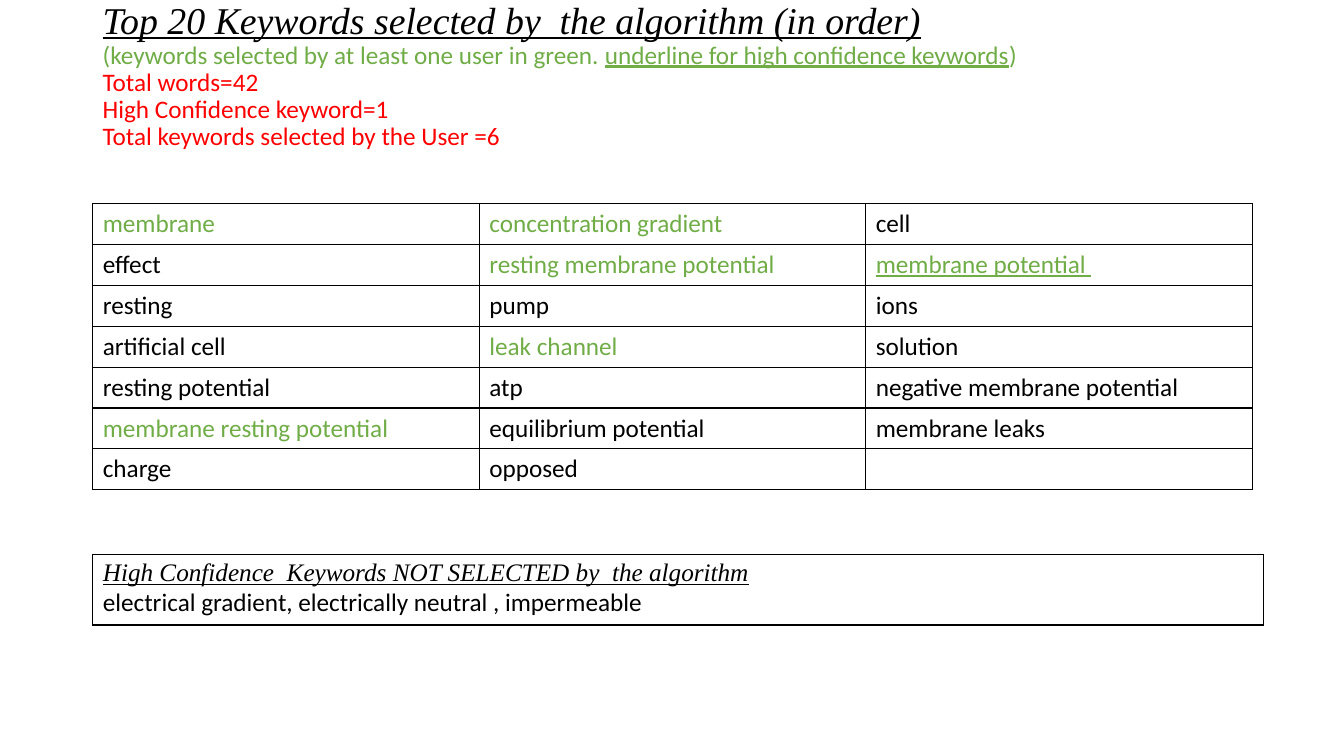
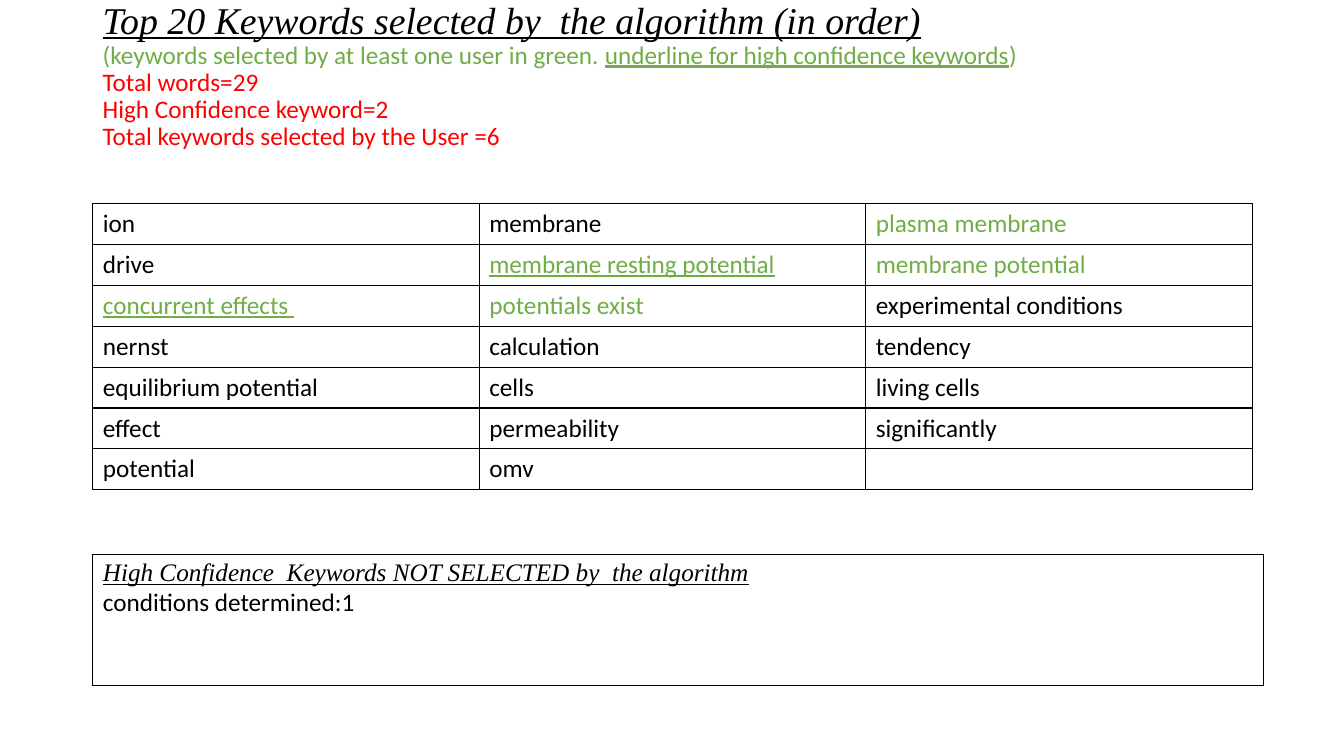
from lxml.etree import SubElement
from pptx import Presentation
from pptx.dml.color import RGBColor
from pptx.enum.text import MSO_ANCHOR
from pptx.oxml.ns import qn
from pptx.util import Inches, Pt

# Content
TITLE = "Top 20 Keywords selected by  the algorithm (in order)"
LEGEND = ("(keywords selected by at least one user in green. ",
          "underline for high confidence keywords", ")")
MISSED_TITLE = "High Confidence  Keywords NOT SELECTED by  the algorithm"
SLIDES = [
    {"totals": (42, 1, 6),
     "keywords": [
         ("membrane", "concentration gradient", "cell"),
         ("effect", "resting membrane potential", "membrane potential "),
         ("resting", "pump", "ions"),
         ("artificial cell", "leak channel", "solution"),
         ("resting potential", "atp", "negative membrane potential"),
         ("membrane resting potential", "equilibrium potential", "membrane leaks"),
         ("charge", "opposed", "")],
     "selected": {"membrane", "concentration gradient", "resting membrane potential",
                  "membrane potential ", "leak channel", "membrane resting potential"},
     "confident": {"membrane potential "},
     "missed": "electrical gradient, electrically neutral , impermeable",
     "missed_height": 0.7},
    {"totals": (29, 2, 6),
     "keywords": [
         ("ion", "membrane", "plasma membrane"),
         ("drive", "membrane resting potential", "membrane potential"),
         ("concurrent effects ", "potentials exist", "experimental conditions"),
         ("nernst", "calculation", "tendency"),
         ("equilibrium potential", "cells", "living cells"),
         ("effect", "permeability", "significantly"),
         ("potential", "omv", "")],
     "selected": {"plasma membrane", "membrane resting potential", "membrane potential",
                  "concurrent effects ", "potentials exist"},
     "confident": {"membrane resting potential", "concurrent effects "},
     "missed": "conditions determined:1",
     "missed_height": 1.3},
]

# Shared look
BLACK = RGBColor(0x00, 0x00, 0x00)
GREEN = RGBColor(0x70, 0xAD, 0x47)
RED = RGBColor(0xFF, 0x00, 0x00)
BODY = {"name": "Calibri", "size": Pt(18), "italic": False, "underline": False}
HEADING = {"name": "Times New Roman", "size": Pt(18), "italic": True, "underline": True}
LEFT, WIDTH, MISSED_WIDTH = 0.92, 11.5, 11.61
TITLE_TOP, TITLE_HEIGHT, TITLE_INSET = 0.4, 1.45, 0.35
GRID_TOP, GRID_HEIGHT, MISSED_TOP = 2.02, 2.84, 5.5


def add_run(p, text, color=BLACK, style=BODY, **changes):
    r = p.add_run()
    r.text = text
    for name, value in {**style, **changes}.items():
        setattr(r.font, name, value)
    r.font.color.rgb = color


def add_grid(s, rows, cols, top, width, height):
    """Add a plain table with black cell borders and equal rows and columns."""
    table = s.shapes.add_table(rows, cols, Inches(LEFT), Inches(top),
                               Inches(width), Inches(height)).table
    table.first_row = table.horz_banding = False
    for cell in table.iter_cells():
        tcPr = cell._tc.get_or_add_tcPr()
        for side in ("a:lnL", "a:lnR", "a:lnT", "a:lnB"):
            ln = SubElement(tcPr, qn(side), w=str(Pt(1)))
            fill = SubElement(ln, qn("a:solidFill"))
            SubElement(fill, qn("a:srgbClr"), val=str(BLACK))
        cell.fill.background()
    return table


def add_title(s, totals):
    sp = s.shapes.add_textbox(Inches(LEFT), Inches(TITLE_TOP),
                              Inches(WIDTH), Inches(TITLE_HEIGHT))
    tf = sp.text_frame
    tf.word_wrap = True
    tf.vertical_anchor = MSO_ANCHOR.BOTTOM
    tf.margin_bottom = Inches(TITLE_INSET)
    words, confident, chosen = totals
    lines = [
        [(TITLE, BLACK, {**HEADING, "size": Pt(27)})],
        [(text, GREEN, {**BODY, "underline": i == 1}) for i, text in enumerate(LEGEND)],
        [(f"Total words={words}", RED, BODY)],
        [(f"High Confidence keyword={confident}", RED, BODY)],
        [(f"Total keywords selected by the User ={chosen}", RED, BODY)],
    ]
    for i, runs in enumerate(lines):
        p = tf.add_paragraph() if i else tf.paragraphs[0]
        p.line_spacing = 0.9
        for run in runs:
            add_run(p, *run)


prs = Presentation()
prs.slide_width, prs.slide_height = Inches(13.33), Inches(7.5)

for data in SLIDES:
    s = prs.slides.add_slide(prs.slide_layouts[6])
    add_title(s, data["totals"])

    # Keywords: green if a user chose them, underlined if high confidence
    keywords = data["keywords"]
    table = add_grid(s, len(keywords), len(keywords[0]), GRID_TOP, WIDTH, GRID_HEIGHT)
    for i, row in enumerate(keywords):
        for j, word in enumerate(row):
            if word:
                add_run(table.cell(i, j).text_frame.paragraphs[0], word,
                        GREEN if word in data["selected"] else BLACK,
                        underline=word in data["confident"])

    # Keywords the algorithm missed
    missed = add_grid(s, 1, 1, MISSED_TOP, MISSED_WIDTH, data["missed_height"])
    tf = missed.cell(0, 0).text_frame
    add_run(tf.paragraphs[0], MISSED_TITLE, style=HEADING)
    add_run(tf.add_paragraph(), data["missed"])

prs.save("out.pptx")
